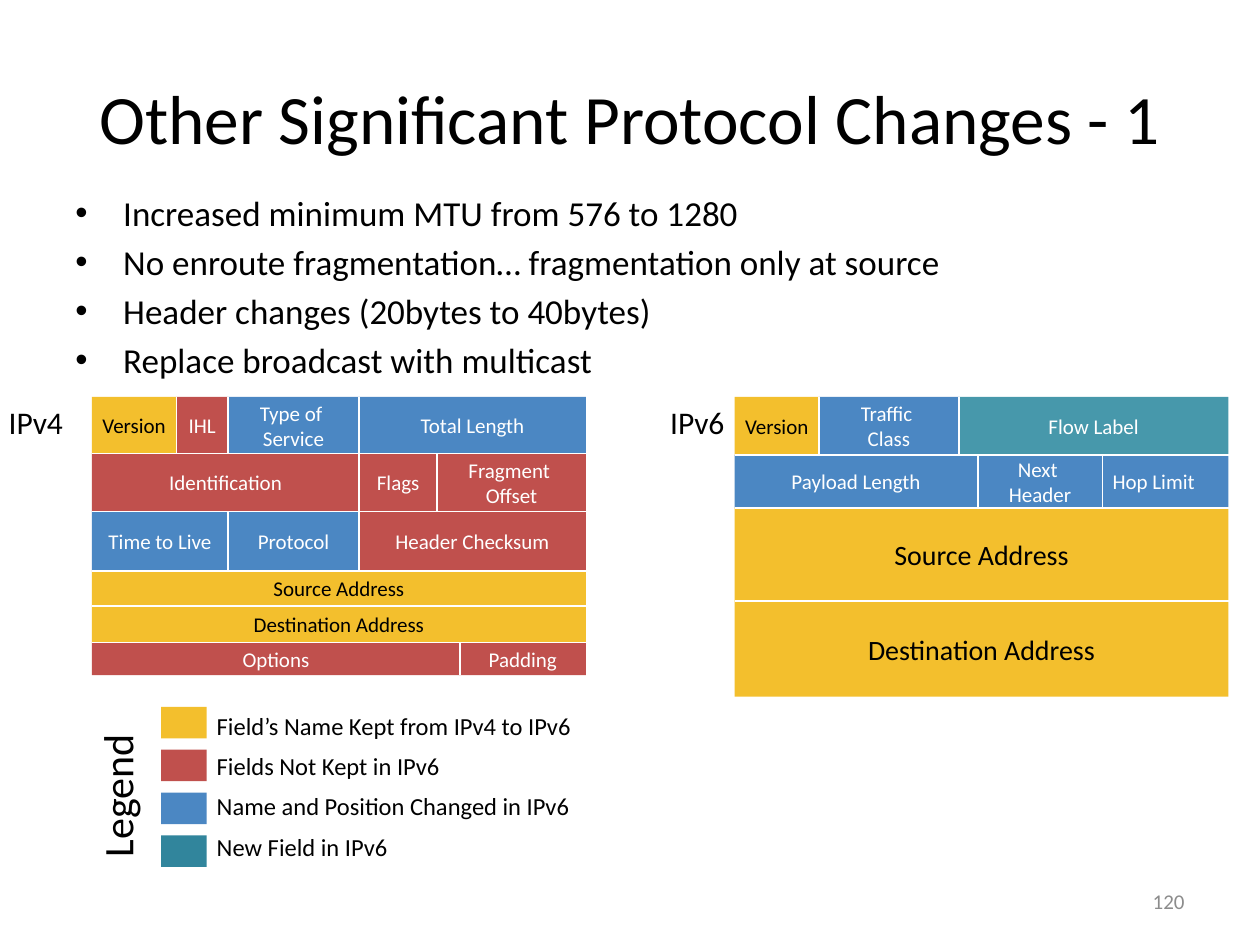
import pptx
import pptx.dml.color
import pptx.enum.shapes
import pptx.enum.text
import pptx.oxml.ns
import pptx.util
from dataclasses import dataclass
from lxml import etree

Inches = pptx.util.Inches
Pt = pptx.util.Pt
RGB = pptx.dml.color.RGBColor.from_string
ALIGN = pptx.enum.text.PP_ALIGN
ANCHOR = pptx.enum.text.MSO_ANCHOR
RECT = pptx.enum.shapes.MSO_SHAPE.RECTANGLE
LINE = pptx.enum.shapes.MSO_CONNECTOR.STRAIGHT
qn = pptx.oxml.ns.qn


@dataclass
class Theme:
    font: str = "Calibri"
    black: str = "000000"
    white: str = "FFFFFF"
    grey: str = "8C8C8C"
    kept: str = "F3BF2D"
    gone: str = "C0504D"
    moved: str = "4B87C3"
    new: str = "4798AB"
    newkey: str = "31859C"
    title: float = 39.6
    head: int = 24
    body: int = 20
    label: int = 18
    large: int = 16
    key: int = 14
    small: int = 12


T = Theme()


def write(shape, text, size, color=T.black, align=ALIGN.LEFT, anchor=ANCHOR.TOP,
          gap=0, lead=None, bullet=False, wrap=True, inset=(0.1, 0.05)):
    """Fill a shape with text: one paragraph a line, gap points between them."""
    frame = shape.text_frame
    frame.word_wrap = wrap
    frame.vertical_anchor = anchor
    frame.margin_left = frame.margin_right = Inches(inset[0])
    frame.margin_top = frame.margin_bottom = Inches(inset[1])
    for i, line in enumerate(text.split("\n")):
        para = frame.paragraphs[0] if i == 0 else frame.add_paragraph()
        para.text = line
        para.alignment = align
        if i:
            para.space_before = Pt(gap)
        if lead:
            para.line_spacing = lead
        if bullet:
            props = para._p.get_or_add_pPr()
            props.set("marL", str(Inches(0.38)))
            props.set("indent", str(-Inches(0.38)))
            etree.SubElement(props, qn("a:buFont"), typeface="Arial")
            etree.SubElement(props, qn("a:buChar"), char="•")
        for run in para.runs:
            run.font.name = T.font
            run.font.size = Pt(size)
            run.font.color.rgb = RGB(color)


def block(shapes, x, y, w, h, color):
    rect = shapes.add_shape(RECT, Inches(x), Inches(y), Inches(w), Inches(h))
    rect.shadow.inherit = False
    rect.fill.solid()
    rect.fill.fore_color.rgb = RGB(color)
    rect.line.fill.background()
    return rect


deck = pptx.Presentation()
deck.slide_width, deck.slide_height = Inches(10), Inches(7.5)
slide = deck.slides.add_slide(deck.slide_layouts[6])
shapes = slide.shapes

# Title, bullets, slide number and labels
points = "\n".join([
    "Increased minimum MTU from 576 to 1280",
    "No enroute fragmentation… fragmentation only at source",
    "Header changes (20bytes to 40bytes)",
    "Replace broadcast with multicast",
])
keys = "\n".join([
    "Field’s Name Kept from IPv4 to IPv6",
    "Fields Not Kept in IPv6",
    "Name and Position Changed in IPv6",
    "New Field in IPv6",
])
middle = ANCHOR.MIDDLE
for place, text, fmt in [
    ((0.5, 0.3, 9, 1.25), "Other Significant Protocol Changes - 1",
     dict(size=T.title, align=ALIGN.CENTER, anchor=middle)),
    ((0.5, 1.47, 9, 4.95), points, dict(size=T.body, gap=4, bullet=True)),
    ((7.17, 6.95, 2.33, 0.4), "120",
     dict(size=T.small, color=T.grey, align=ALIGN.RIGHT, anchor=middle)),
    ((-0.03, 3.15, 0.75, 0.38), "IPv4", dict(size=T.label)),
    ((5.22, 3.15, 0.75, 0.38), "IPv6", dict(size=T.label)),
    ((1.63, 5.58, 3.75, 1.34), keys,
     dict(size=T.key, anchor=middle, gap=7, lead=0.95, inset=(0.09, 0.04))),
]:
    write(shapes.add_textbox(*map(Inches, place)), text, **fmt)

# Packet headers: left edge, then rows of (top, size, fields);
# a field is (left, name, color)
WIDTH = 3.92
headers = [
    (0.73, 5.36, [
        (3.15, T.small, [(0.73, "Version", T.kept), (1.4, "IHL", T.gone),
                         (1.81, "Type of \vService", T.moved),
                         (2.85, "Total Length", T.moved)]),
        (3.6, T.small, [(0.73, "Identification", T.gone), (2.85, "Flags", T.gone),
                        (3.47, "Fragment \vOffset", T.gone)]),
        (4.06, T.small, [(0.73, "Time to Live", T.moved), (1.81, "Protocol", T.moved),
                         (2.85, "Header Checksum", T.gone)]),
        (4.53, T.small, [(0.73, "Source Address", T.kept)]),
        (4.81, T.small, [(0.73, "Destination Address", T.kept)]),
        (5.1, T.small, [(0.73, "Options", T.gone), (3.65, "Padding", T.gone)]),
    ]),
    (5.83, 5.53, [
        (3.15, T.small, [(5.83, "Version", T.kept), (6.5, "Traffic \vClass", T.moved),
                         (7.61, "Flow Label", T.new)]),
        (3.61, T.small, [(5.83, "Payload Length", T.moved),
                         (7.76, "Next \vHeader", T.moved),
                         (8.75, "Hop Limit", T.moved)]),
        (4.03, T.large, [(5.83, "Source Address", T.kept)]),
        (4.77, T.large, [(5.83, "Destination Address", T.kept)]),
    ]),
]
for left, base, rows in headers:
    group = shapes.add_group_shape().shapes
    right = left + WIDTH
    ends = [row[0] for row in rows[1:]] + [base]
    rules = [(left, y, right, y) for y in ends[:-1]]
    for (top, size, fields), end in zip(rows, ends):
        stops = [field[0] for field in fields[1:]] + [right]
        rules += [(x, top, x, end) for x in stops[:-1]]
        for (x, name, color), stop in zip(fields, stops):
            cell = block(group, x, top, stop - x, end - top, color)
            write(cell, name, size, T.black if color == T.kept else T.white,
                  align=ALIGN.LEFT if name == "Hop Limit" else ALIGN.CENTER,
                  anchor=middle, wrap=False, inset=(0.08, 0.04))
    for rule in rules:
        line = group.add_connector(LINE, *map(Inches, rule))
        line.line.color.rgb = RGB(T.white)
        line.line.width = Pt(1)
        etree.SubElement(line._element.spPr, qn("a:effectLst"))

# Legend
legend = shapes.add_textbox(Inches(0.27), Inches(5.97), Inches(1.37), Inches(0.48))
legend.rotation = 270
write(legend, "Legend", T.head, lead=0.95, inset=(0.09, 0.04))
for i, color in enumerate([T.kept, T.gone, T.moved, T.newkey]):
    block(shapes, 1.28, 5.61 + 0.34 * i, 0.36, 0.25, color)

deck.save("out.pptx")
